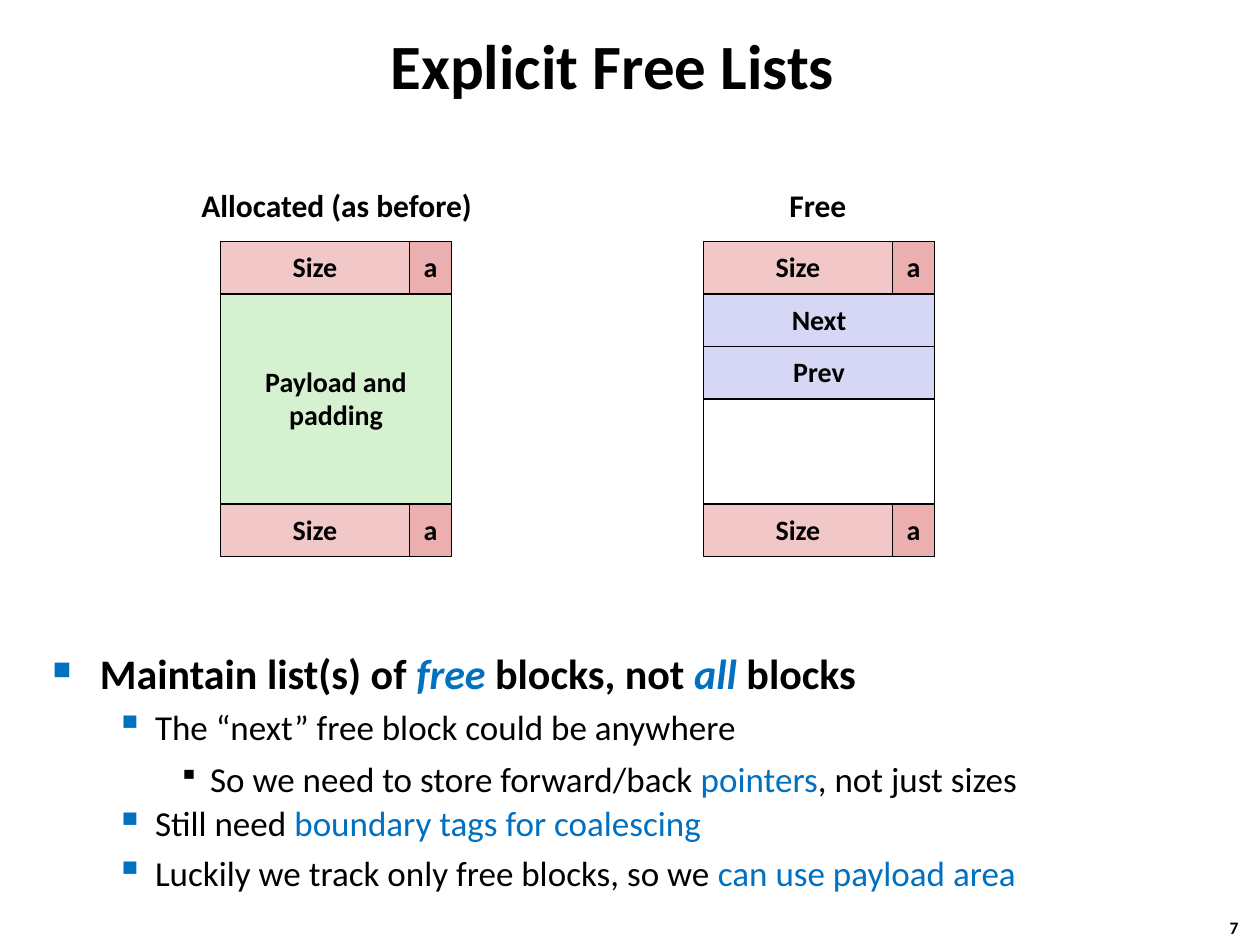
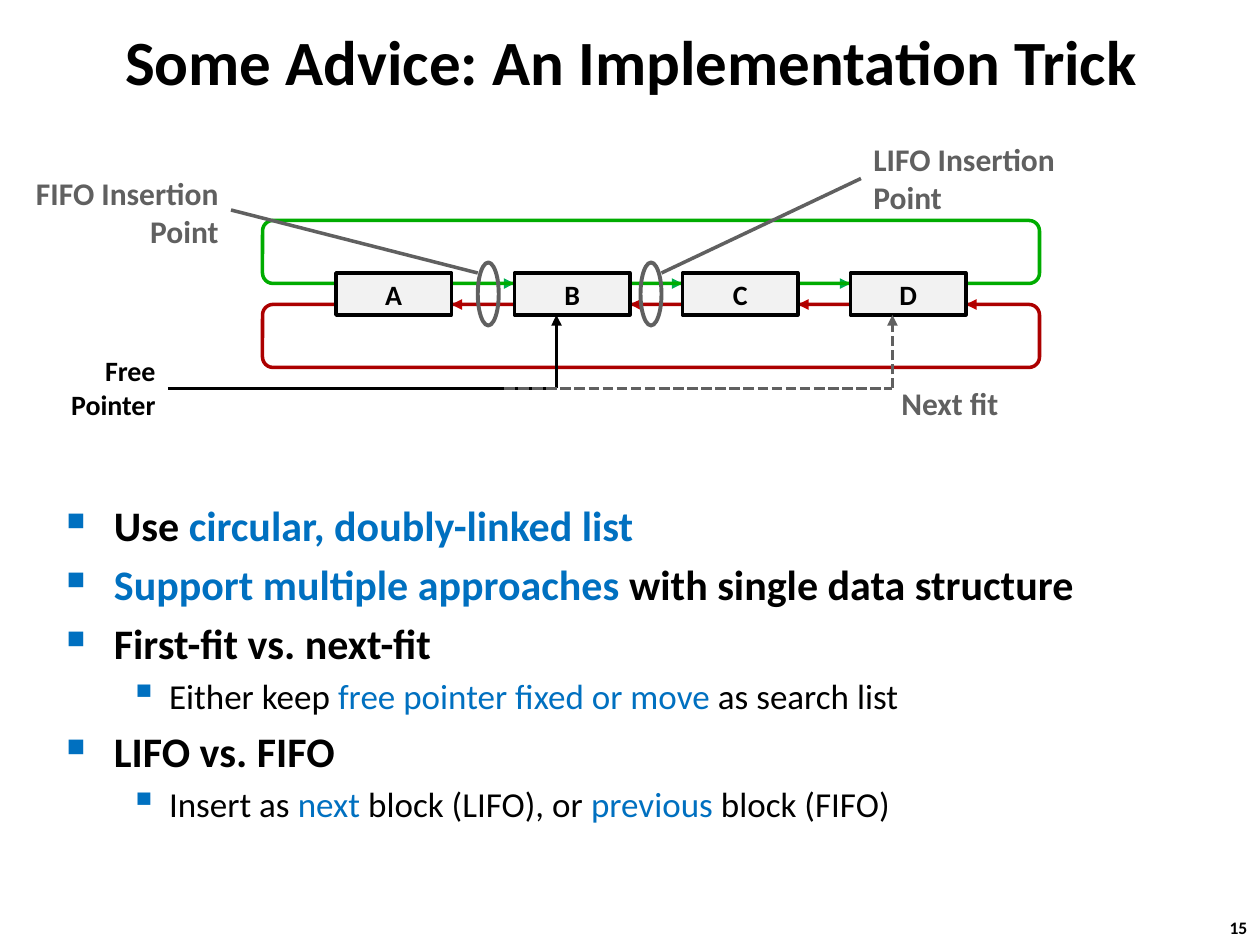
from lxml import etree
from pptx import Presentation
from pptx.dml.color import RGBColor
from pptx.enum.dml import MSO_LINE
from pptx.enum.shapes import MSO_CONNECTOR, MSO_SHAPE
from pptx.enum.text import MSO_ANCHOR, PP_ALIGN
from pptx.oxml.ns import qn
from pptx.util import Pt

RECT, ROUND, OVAL = MSO_SHAPE.RECTANGLE, MSO_SHAPE.ROUNDED_RECTANGLE, MSO_SHAPE.OVAL
LEFT, CENTER, RIGHT = PP_ALIGN.LEFT, PP_ALIGN.CENTER, PP_ALIGN.RIGHT
TOP, MIDDLE = MSO_ANCHOR.TOP, MSO_ANCHOR.MIDDLE
STRAIGHT = MSO_CONNECTOR.STRAIGHT
DASHED = MSO_LINE.SQUARE_DOT

FONT = "Calibri"
BLACK, WHITE, BLUE, GRAY = "000000", "FFFFFF", "0070C0", "606060"
SIZE_FILL, TAG_FILL, PAYLOAD_FILL = "F1C7C7", "EBAFAF", "D5F1CF"
LINK_FILL, NODE_FILL = "D6D6F5", "F2F2F2"
NEXT_ARROW, NEXT_LOOP = "00B050", "00AC00"
PREV_ARROW, PREV_LOOP = "C00000", "AC0000"

# Per level: left margin, hanging indent, bullet, bullet colour, bullet percent, font
LEVELS = [
    (27, 27, "■", BLUE, 60, {"size": Pt(24), "bold": True}),
    (58.5, 22.5, "▪", BLUE, 110, {"size": Pt(20), "bold": False}),
    (90, 18, "▪", BLACK, 80, {"size": Pt(20), "bold": False}),
]


def rgb(value):
    return RGBColor.from_string(value)


def set_font(font, color=BLACK, **formats):
    for name, value in {"name": FONT, "bold": True, **formats}.items():
        setattr(font, name, value)
    font.color.rgb = rgb(color)


def fill_text(tf, text, size, color=BLACK, align=LEFT, anchor=TOP, wrap=False, spacing=None):
    """Write one paragraph for each line of text."""
    for name, value in {"word_wrap": wrap, "vertical_anchor": anchor}.items():
        setattr(tf, name, value)
    for i, line in enumerate(text.split("\n")):
        p = tf.add_paragraph() if i else tf.paragraphs[0]
        p.alignment, p.line_spacing = align, spacing
        r = p.add_run()
        r.text = line
        set_font(r.font, color, size=Pt(size))


def add_label(s, text, box, size, **formats):
    tb = s.shapes.add_textbox(*map(Pt, box))
    fill_text(tb.text_frame, text, size, **formats)


def add_box(s, kind, box, fill=None, line=BLACK, weight=1, text="", spacing=None):
    sp = s.shapes.add_shape(kind, *map(Pt, box))
    sp.shadow.inherit = False
    if fill:
        sp.fill.solid()
        sp.fill.fore_color.rgb = rgb(fill)
    else:
        sp.fill.background()
    sp.line.color.rgb = rgb(line)
    sp.line.width = Pt(weight)
    if text:
        fill_text(sp.text_frame, text, 16, align=CENTER, anchor=MIDDLE, spacing=spacing)


def add_line(s, x1, y1, x2, y2, color, arrow=False, dash=None):
    cn = s.shapes.add_connector(STRAIGHT, *map(Pt, (x1, y1, x2, y2)))
    cn.line.color.rgb = rgb(color)
    cn.line.width = Pt(2)
    if dash:
        cn.line.dash_style = dash
    if arrow:
        etree.SubElement(cn.line._get_or_add_ln(), qn("a:tailEnd"), type="triangle")
    etree.SubElement(cn._element.spPr, qn("a:effectLst"))


def set_bullet(p, level):
    margin, hang, char, color, percent, _ = LEVELS[level]
    pPr = p._p.get_or_add_pPr()
    pPr.set("marL", str(Pt(margin)))
    pPr.set("indent", str(-Pt(hang)))
    bu_color = etree.SubElement(pPr, qn("a:buClr"))
    etree.SubElement(bu_color, qn("a:srgbClr"), val=color)
    etree.SubElement(pPr, qn("a:buSzPct"), val=str(percent * 1000))
    etree.SubElement(pPr, qn("a:buChar"), char=char)


def add_body(s, box, items):
    """Items are (level, text, line spacing, italic accents); |bars| mark accents."""
    tf = s.shapes.add_textbox(*map(Pt, box)).text_frame
    tf.word_wrap = True
    for i, (level, text, spacing, italic) in enumerate(items):
        p = tf.add_paragraph() if i else tf.paragraphs[0]
        set_bullet(p, level)
        p.level, p.line_spacing = level, spacing
        formats = LEVELS[level][-1]
        if i:
            p.space_before = int(formats["size"] * 0.2)
        for j, part in enumerate(text.split("|")):
            if part:
                accent = j % 2 == 1
                r = p.add_run()
                r.text = part
                set_font(r.font, BLUE if accent else BLACK,
                         italic=italic and accent, **formats)


def add_slide(prs, title, title_box, number, spacing=None):
    s = prs.slides.add_slide(prs.slide_layouts[6])
    add_label(s, title, title_box, 36, align=CENTER, anchor=MIDDLE, wrap=True, spacing=spacing)
    add_label(s, number, (695.5, 520.5, 27, 19.5), 10)
    return s


def add_memory_block(s, left, top, fields):
    """Stack header, fields (text, fill, rows) and footer, in rows of equal height."""
    row, size_w, tag_w = 30, 108, 24

    def add_tag_row(y):
        add_box(s, RECT, (left, y, size_w, row), SIZE_FILL, text="Size", spacing=0.98)
        add_box(s, RECT, (left + size_w, y, tag_w, row), TAG_FILL, text="a", spacing=0.98)

    add_tag_row(top)
    y = top + row
    for text, fill, rows in fields:
        add_box(s, RECT, (left, y, size_w + tag_w, rows * row), fill, text=text, spacing=0.98)
        y += rows * row
    add_tag_row(y)


def add_linked_list(s, left, top):
    """Draw nodes A to D with the loops that close the list at both ends."""
    loop_w, loop_h, node_w, node_h = 444, 36, 66, 24
    next_y, prev_y = top + loop_h, top + loop_h + 12
    nodes = [left + dx for dx in (42, 144, 240, 336)]
    for x, following in zip(nodes, nodes[1:]):
        add_line(s, x + node_w, next_y, following, next_y, NEXT_ARROW, arrow=True)
        add_line(s, following, prev_y, x + node_w, prev_y, PREV_ARROW, arrow=True)
    last = nodes[-1] + node_w
    add_line(s, last + 30, prev_y, last, prev_y, PREV_ARROW, arrow=True)
    add_box(s, ROUND, (left, top, loop_w, loop_h), line=NEXT_LOOP, weight=2)
    add_box(s, ROUND, (left, prev_y, loop_w, loop_h), line=PREV_LOOP, weight=2)
    for x, name in zip(nodes, "ABCD"):
        add_box(s, RECT, (x, next_y - 6, node_w, node_h), NODE_FILL, weight=2, text=name)


def add_pointer(s, start, end, y, tip, color, dash=None):
    """Draw an elbow: along y from start to end, then up to tip."""
    add_line(s, end, y, end, tip, color, arrow=True, dash=dash)
    add_line(s, start, y, end, y, color, dash=dash)


def add_insertion_point(s, ring_left, ring_top, touch_x, start, text, box, align):
    add_box(s, OVAL, (ring_left, ring_top, 12, 36), line=GRAY, weight=2.25)
    add_line(s, *start, touch_x, ring_top + 6, GRAY)
    add_label(s, text, box, 18, color=GRAY, align=align, wrap=True)


def build_free_lists(prs):
    s = add_slide(prs, "Explicit Free Lists", (111, 17.5, 478, 45), "7", 0.87)
    add_body(s, (23, 371, 654.5, 145.5), [
        (0, "Maintain list(s) of |free| blocks, not |all| blocks", 0.85, True),
        (1, "The “next” free block could be anywhere", None, False),
        (2, "So we need to store forward/back |pointers|, not just sizes", 1.07, False),
        (1, "Still need |boundary tags for coalescing|", 0.9, False),
        (1, "Luckily we track only free blocks, so we |can use payload area|", None, False),
    ])
    add_memory_block(s, 126, 138, [("Payload and\npadding", PAYLOAD_FILL, 4)])
    add_memory_block(s, 402, 138, [
        ("Next", LINK_FILL, 1), ("Prev", LINK_FILL, 1), ("", WHITE, 2)])
    add_label(s, "Allocated (as before)", (108, 103, 170.5, 29), 18)
    add_label(s, "Free", (444, 102.5, 47.5, 29), 18)


def build_implementation_trick(prs):
    s = add_slide(prs, "Some Advice: An Implementation Trick", (62, 3.5, 597.5, 62), "15")
    bullets = [
        (0, "Use |circular, doubly-linked list|"),
        (0, "|Support multiple approaches| with single data structure"),
        (0, "First-fit vs. next-fit"),
        (1, "Either keep |free pointer fixed or move |as search list"),
        (0, "LIFO vs. FIFO"),
        (1, "Insert as |next| block (LIFO), or |previous| block (FIFO)"),
    ]
    add_body(s, (31, 282, 622, 216.5), [(*b, None, False) for b in bullets])
    add_linked_list(s, 150, 126)
    add_pointer(s, 96, 318, 222, 180, BLACK)
    add_label(s, "Free\nPointer", (32, 198.5, 64, 46), 16, align=RIGHT)
    add_insertion_point(s, 273, 150, 273, (132, 120), "FIFO Insertion\nPoint",
                        (6, 96, 126, 51), RIGHT)
    add_insertion_point(s, 366, 150, 378, (492, 102), "LIFO Insertion\nPoint",
                        (492, 76.5, 126, 51), LEFT)
    add_pointer(s, 288, 510, 222, 180, GRAY, DASHED)
    add_label(s, "Next fit", (508, 216, 70.5, 29), 18, color=GRAY)


def main():
    prs = Presentation()
    prs.slide_width, prs.slide_height = Pt(720), Pt(540)
    build_free_lists(prs)
    build_implementation_trick(prs)
    prs.save("out.pptx")


if __name__ == "__main__":
    main()
